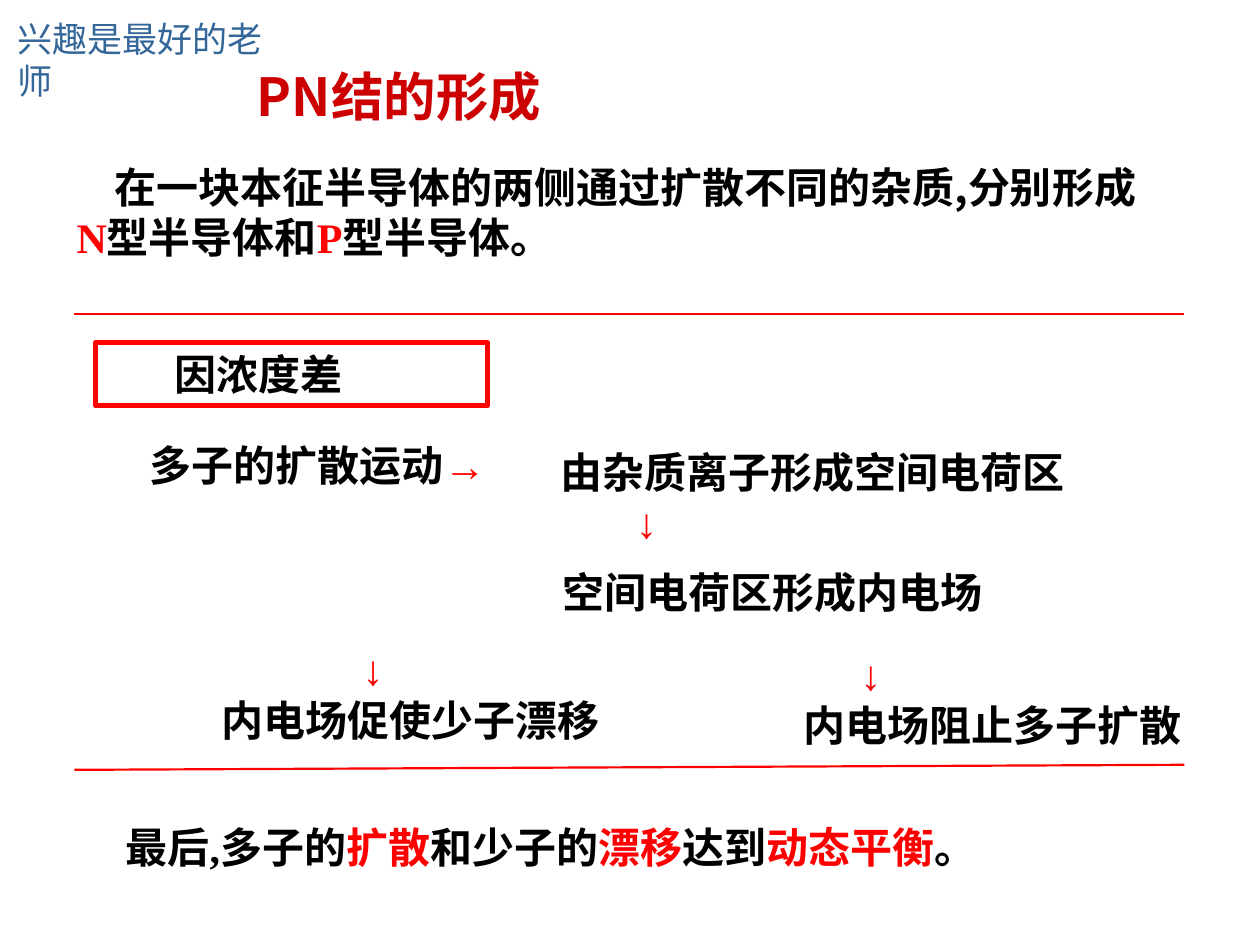
import pptx
import pptx.dml.color
import pptx.enum.shapes
import pptx.enum.text
import pptx.oxml.ns
import pptx.util
from lxml import etree

Inches, Pt = pptx.util.Inches, pptx.util.Pt
ALIGN = pptx.enum.text.PP_ALIGN
ANCHOR = pptx.enum.text.MSO_ANCHOR

COLORS = {"header": "336699", "title": "CC0000", "red": "FF0000", "black": "000000"}
CJK, ARIAL, TIMES = "Noto Sans CJK SC", "Arial", "Times New Roman"
DOWN = ("↓", "red", ARIAL)


def rgb(name):
    return pptx.dml.color.RGBColor.from_string(COLORS[name])


def add_run(paragraph, text, color="black", font=CJK, size=24, bold=True):
    run = paragraph.add_run()
    run.text = text
    run.font.size, run.font.bold, run.font.name = Pt(size), bold, font
    run.font.color.rgb = rgb(color)
    east_asian = etree.SubElement(run._r.get_or_add_rPr(), pptx.oxml.ns.qn("a:ea"))
    east_asian.set("typeface", ARIAL if font == ARIAL else CJK)


def add_paragraph(frame, runs, first=True, margin=0, indent=0, align=ALIGN.LEFT, **style):
    """Margin moves the whole paragraph, indent only its first line."""
    paragraph = frame.paragraphs[0] if first else frame.add_paragraph()
    paragraph.alignment = align
    properties = paragraph._p.get_or_add_pPr()
    properties.set("marL", str(Inches(margin)))
    properties.set("indent", str(Inches(indent)))
    for run in runs:
        add_run(paragraph, *run, **style)
    return paragraph


def add_frame(slide, left, top, width, height, anchor=ANCHOR.MIDDLE, wrap=True):
    box = slide.shapes.add_textbox(Inches(left), Inches(top), Inches(width), Inches(height))
    box.text_frame.word_wrap = wrap
    box.text_frame.vertical_anchor = anchor
    return box.text_frame


def add_rule(slide, left, top, right, bottom):
    rule = slide.shapes.add_connector(
        pptx.enum.shapes.MSO_CONNECTOR.STRAIGHT,
        Inches(left), Inches(top), Inches(right), Inches(bottom))
    rule.line.color.rgb = rgb("red")
    rule.line.width = Pt(1.25)
    etree.SubElement(rule._element.spPr, pptx.oxml.ns.qn("a:effectLst"))


def add_heading(slide, left, top):
    motto = add_frame(slide, left, top, 2.25, 0.32, ANCHOR.TOP, wrap=False)
    add_paragraph(motto, [("兴趣是最好的老师", "header")], size=20, bold=False)
    title = add_frame(slide, left + 0.86, top + 0.19, 4.63, 0.96)
    add_paragraph(title, [("PN结的形成 ", "title")], align=ALIGN.CENTER, size=30)


def add_introduction(slide, left, top, width):
    frame = add_frame(slide, left, top, width, 0.9, ANCHOR.TOP)
    add_paragraph(frame, [
        ("在一块本征半导体的两侧通过扩散不同的杂质,分别形成",),
        ("N", "red", TIMES), ("型半导体和",),
        ("P", "red", TIMES), ("型半导体。",)], indent=0.3)


def add_cause(slide, left, top, width, height):
    cause = slide.shapes.add_shape(
        pptx.enum.shapes.MSO_SHAPE.RECTANGLE,
        Inches(left), Inches(top), Inches(width), Inches(height))
    cause.shadow.inherit = False
    cause.fill.background()
    cause.line.color.rgb = rgb("red")
    cause.line.width = Pt(3)
    cause.text_frame.word_wrap = True
    cause.text_frame.vertical_anchor = ANCHOR.MIDDLE
    add_paragraph(cause.text_frame, [("因浓度差",)], margin=0.53)


def add_process(slide, left, top):
    """Chain from diffusion to the inner field and its two effects."""
    add_cause(slide, left, top, 3.11, 0.5)

    diffusion = add_frame(slide, left + 0.33, top + 0.72, 3.61, 0.5)
    add_paragraph(diffusion, [("多子的扩散运动",), ("→", "red", ARIAL)])

    charge_region = add_frame(slide, left + 3.59, top + 0.77, 5.22, 0.9)
    add_paragraph(charge_region, [("由杂质离子形成空间电荷区",)])
    add_paragraph(charge_region, [DOWN], first=False, margin=0.6)

    inner_field = add_frame(slide, left + 3.61, top + 1.73, 3.53, 0.5, wrap=False)
    add_paragraph(inner_field, [("空间电荷区形成内电场",)])

    effects = [
        (0.68, 2.34, 4.67, 1.34, 0.22, "内电场促使少子漂移"),
        (5.52, 2.38, 3.69, 0.45, 0, "内电场阻止多子扩散"),
    ]
    for dx, dy, width, arrow_margin, text_margin, effect in effects:
        frame = add_frame(slide, left + dx, top + dy, width, 0.9)
        add_paragraph(frame, [DOWN], margin=arrow_margin)
        add_paragraph(frame, [(effect,)], first=False, margin=text_margin)


def add_conclusion(slide, left, top, width):
    frame = add_frame(slide, left, top, width, 0.54)
    parts = ["最后,多子的", "扩散", "和少子的", "漂移", "达到", "动态平衡", "。"]
    runs = [(part, "red" if i % 2 else "black", TIMES) for i, part in enumerate(parts)]
    add_paragraph(frame, runs).line_spacing = 1.1


def main():
    deck = pptx.Presentation()
    deck.slide_width, deck.slide_height = Inches(10), Inches(7.5)
    slide = deck.slides.add_slide(deck.slide_layouts[6])
    add_heading(slide, 0.04, 0.09)
    add_introduction(slide, 0.51, 1.23, 8.66)
    add_rule(slide, 0.59, 2.49, 9.4, 2.49)
    add_process(slide, 0.76, 2.72)
    add_rule(slide, 0.59, 6.11, 9.4, 6.07)
    add_conclusion(slide, 0.9, 6.43, 7.7)
    deck.save("out.pptx")


if __name__ == "__main__":
    main()
